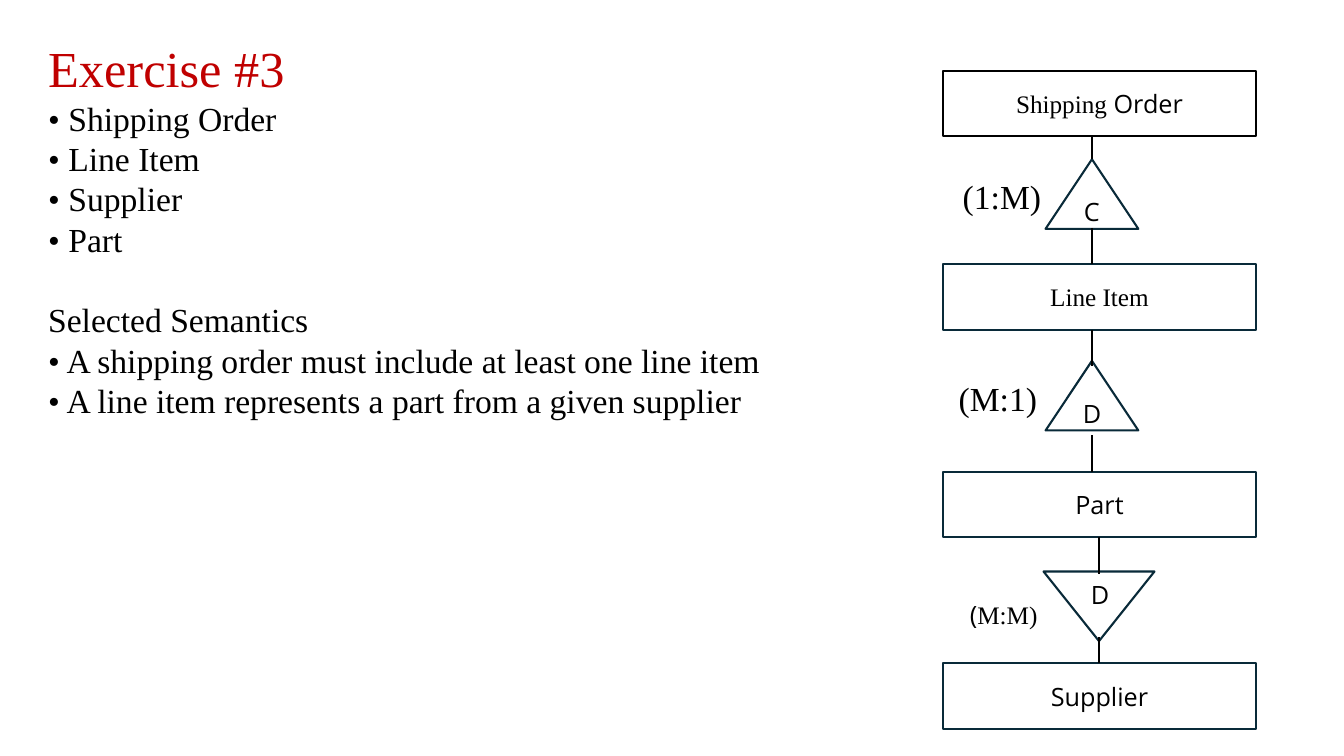
"""Builds the Exercise #3 slide: entity list, semantics and a relationship diagram."""
from lxml import etree
from pptx import Presentation
from pptx.dml.color import RGBColor
from pptx.enum.shapes import MSO_CONNECTOR, MSO_SHAPE
from pptx.enum.text import MSO_ANCHOR, PP_ALIGN
from pptx.oxml.ns import qn
from pptx.util import Inches, Pt

RECTANGLE, TRIANGLE = MSO_SHAPE.RECTANGLE, MSO_SHAPE.ISOSCELES_TRIANGLE
STRAIGHT = MSO_CONNECTOR.STRAIGHT
MIDDLE, TOP = MSO_ANCHOR.MIDDLE, MSO_ANCHOR.TOP
CENTER, LEFT = PP_ALIGN.CENTER, PP_ALIGN.LEFT

COLUMNS, ROWS = 133.3, 75
CELL = Inches(0.1)
COLORS = {"title": "C00000", "text": "000000", "paper": "FFFFFF",
          "outline": "092A39", "link": "000000"}
SERIF, SANS = "Times New Roman", "Open Sans"
LINE_PITCH = Pt(28.8)

ENTITY_LEFT, ENTITY_WIDTH, ENTITY_HEIGHT = 93.5, 31.1, 6.5
RELATION_HEIGHT = 6.9
UPPER_AXIS, LOWER_AXIS = 108.3, 109

ENTITIES = [
    (7, "link", [("Shipping", SERIF), (" Order", SANS)]),
    (26.2, "outline", [("Line Item", SERIF)]),
    (46.8, "outline", [("Part", SANS)]),
    (65.8, "outline", [("Supplier", SANS)]),
]
RELATIONS = [
    (UPPER_AXIS, 15.8, 9.2, 0, "C"),
    (LOWER_AXIS, 56.7, 11, 180, ""),
    (UPPER_AXIS, 35.8, 9.2, 0, "D"),
]
LINKS = [
    (UPPER_AXIS, 13.5, 15.8), (UPPER_AXIS, 22.6, 26.2),
    (UPPER_AXIS, 32.7, 36.3), (UPPER_AXIS, 43.2, 46.8),
    (LOWER_AXIS, 53.3, 56.9), (LOWER_AXIS, 63.2, 65.8),
]
LABELS = [
    (94.5, 17, 9.8, 4.8, 24, [("(1:M)", SERIF)]),
    (94.1, 37, 9.8, 4.8, 24, [("(M:1)", SERIF)]),
    (95.2, 59, 8.8, 4, 18, [("(", SANS), ("M:M)", SERIF)]),
    (107.2, 57, 3.8, 4, 18, [("D", SANS)]),
]
ENTITY_LIST = ["Shipping Order", "Line Item", "Supplier", "Part"]
SEMANTICS = ["A shipping order must include at least one line item",
             "A line item represents a part from a given supplier"]


def cells(*counts):
    """Turn counts of grid cells into lengths."""
    return [round(count * CELL) for count in counts]


def color(role):
    """Return the colour of a role."""
    return RGBColor.from_string(COLORS[role])


def write(paragraph, runs, size, role="text", **layout):
    """Fill a paragraph with (text, font) runs and apply its layout."""
    for text, face in runs:
        run = paragraph.add_run()
        run.text = text
        run.font.color.rgb = color(role)
        for key, value in {"name": face, "size": Pt(size)}.items():
            setattr(run.font, key, value)
    for key, value in layout.items():
        setattr(paragraph, key, value)


def add_node(slide, kind, box, outline, runs, rotation=0):
    """Add an outlined diagram shape with centred text."""
    node = slide.shapes.add_shape(kind, *cells(*box))
    node.shadow.inherit = False
    node.rotation = rotation
    node.fill.solid()
    node.fill.fore_color.rgb = color("paper")
    node.line.color.rgb = color(outline)
    node.line.width = Pt(1.5)
    node.text_frame.vertical_anchor = MIDDLE
    if runs:
        write(node.text_frame.paragraphs[0], runs, 18, alignment=CENTER)


def add_link(slide, axis, start, end):
    """Add a vertical line between two rows."""
    link = slide.shapes.add_connector(STRAIGHT, *cells(axis, start, axis, end))
    link.line.color.rgb = color("link")
    link.line.width = Pt(1.5)
    etree.SubElement(link._element.spPr, qn("a:effectLst"))


def add_frame(slide, box, wrap):
    """Add a text box and return its text frame."""
    frame = slide.shapes.add_textbox(*cells(*box)).text_frame
    for key, value in {"word_wrap": wrap, "vertical_anchor": TOP}.items():
        setattr(frame, key, value)
    return frame


def add_bullets(frame, items):
    """Append bulleted lines to a text frame."""
    for item in items:
        write(frame.add_paragraph(), [("• " + item, SERIF)], 24,
              alignment=LEFT, line_spacing=LINE_PITCH)


def add_exercise(slide):
    """Add the heading, the entity list and the semantics."""
    frame = add_frame(slide, (3.8, 3.2, 86, 40), True)
    write(frame.paragraphs[0], [("Exercise #3", SERIF)], 36, "title")
    add_bullets(frame, ENTITY_LIST)
    write(frame.add_paragraph(), [("Selected Semantics", SERIF)], 24,
          line_spacing=LINE_PITCH, space_before=LINE_PITCH)
    add_bullets(frame, SEMANTICS)


def main():
    """Build and save the slide."""
    deck = Presentation()
    deck.slide_width, deck.slide_height = cells(COLUMNS, ROWS)
    slide = deck.slides.add_slide(deck.slide_layouts[6])
    add_exercise(slide)
    for top, outline, runs in ENTITIES:
        box = (ENTITY_LEFT, top, ENTITY_WIDTH, ENTITY_HEIGHT)
        add_node(slide, RECTANGLE, box, outline, runs)
    for axis, top, width, rotation, letter in RELATIONS:
        box = (axis - width / 2, top, width, RELATION_HEIGHT)
        runs = [(letter, SANS)] if letter else []
        add_node(slide, TRIANGLE, box, "outline", runs, rotation)
    for link in LINKS:
        add_link(slide, *link)
    for *box, size, runs in LABELS:
        write(add_frame(slide, box, False).paragraphs[0], runs, size)
    deck.save("out.pptx")


if __name__ == "__main__":
    main()
